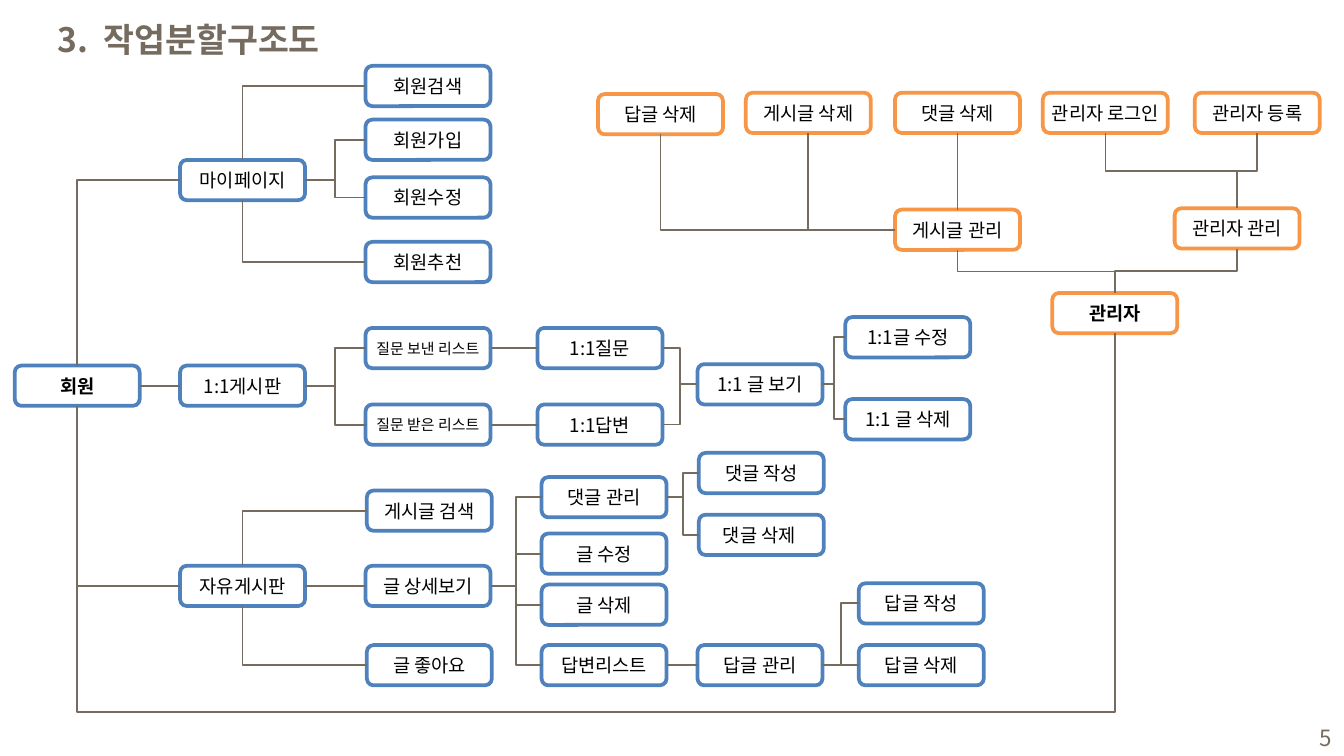
"""Build the work breakdown structure slide for members and administrators."""
import lxml.etree
import pptx
import pptx.dml.color
import pptx.enum.shapes
import pptx.enum.text
import pptx.oxml.ns
import pptx.util

Inches, Pt = pptx.util.Inches, pptx.util.Pt
MSO_SHAPE = pptx.enum.shapes.MSO_SHAPE
MSO_CONNECTOR = pptx.enum.shapes.MSO_CONNECTOR
ALIGN, ANCHOR = pptx.enum.text.PP_ALIGN, pptx.enum.text.MSO_ANCHOR
rgb = pptx.dml.color.RGBColor.from_string
qn = pptx.oxml.ns.qn

FONT = "Noto Sans CJK KR"
BROWN, BLUE, ORANGE = "756B5F", "4F81BD", "F79646"
TOP, LEFT, BOTTOM, RIGHT = range(4)


def write(sp, text, size=10, bold=False, color="000000", align=ALIGN.CENTER,
          anchor=ANCHOR.MIDDLE, inset=0):
    tf = sp.text_frame
    tf.word_wrap = True
    tf.vertical_anchor = anchor
    tf.margin_left = tf.margin_right = Inches(inset)
    tf.margin_top = tf.margin_bottom = Inches(inset / 2)
    p = tf.paragraphs[0]
    p.alignment = align
    r = p.add_run()
    r.text = text
    r.font.size, r.font.bold, r.font.name = Pt(size), bold, FONT
    r.font.color.rgb = rgb(color)
    lxml.etree.SubElement(r.font._element, qn("a:ea"), typeface=FONT)


prs = pptx.Presentation()
prs.slide_width, prs.slide_height = Inches(10), Inches(10 * 9 / 16)
s = prs.slides.add_slide(prs.slide_layouts[6])

sp = s.shapes.add_textbox(Inches(7.68), Inches(5.34), Inches(2.33), Inches(0.3))
write(sp, "5", size=12, color=BROWN, align=ALIGN.RIGHT, inset=0.1)
sp = s.shapes.add_textbox(Inches(0.33), Inches(0.09), Inches(9.24), Inches(0.4))
write(sp, "3.  작업분할구조도", size=18, bold=True, color=BROWN,
      align=ALIGN.LEFT, anchor=ANCHOR.TOP, inset=0.1)

member_spots = {
    "회원": (0.11, 2.72),
    "마이페이지": (1.34, 1.19), "1:1게시판": (1.34, 2.72), "자유게시판": (1.34, 4.21),
    "회원검색": (2.72, 0.49), "회원가입": (2.72, 0.89),
    "회원수정": (2.72, 1.32), "회원추천": (2.72, 1.8),
    "질문 보낸 리스트": (2.72, 2.44), "질문 받은 리스트": (2.72, 3.01),
    "게시글 검색": (2.73, 3.65), "글 상세보기": (2.72, 4.21), "글 좋아요": (2.73, 4.8),
    "1:1질문": (4, 2.44), "1:1답변": (4, 3.01),
    "댓글 관리": (4.03, 3.55), "글 수정": (4.03, 3.97),
    "글 삭제": (4.03, 4.35), "답변리스트": (4.03, 4.8),
    "1:1 글 보기": (5.19, 2.71), "댓글 작성": (5.2, 3.37),
    "댓글 삭제 ": (5.2, 3.83), "답글 관리": (5.19, 4.8),
    "1:1글 수정": (6.29, 2.36), "1:1 글 삭제": (6.29, 2.97),
    "답글 작성": (6.39, 4.34), "답글 삭제": (6.39, 4.8),
}
admin_spots = {
    "관리자": (7.83, 2.18), "게시글 관리": (6.66, 1.56), "관리자 관리": (8.74, 1.55),
    "답글 삭제": (4.45, 0.7), "게시글 삭제": (5.55, 0.69), "댓글 삭제": (6.66, 0.69),
    "관리자 로그인": (7.76, 0.69), "관리자 등록": (8.89, 0.69),
}
member, admin = {}, {}
for boxes, spots, color in ((member, member_spots, BLUE), (admin, admin_spots, ORANGE)):
    for text, (x, y) in spots.items():
        sp = s.shapes.add_shape(MSO_SHAPE.ROUNDED_RECTANGLE,
                                Inches(x), Inches(y), Inches(0.93), Inches(0.3))
        sp.shadow.inherit = False
        sp.fill.solid()
        sp.fill.fore_color.rgb = rgb("FFFFFF")
        sp.line.color.rgb = rgb(color)
        sp.line.width = Pt(2)
        write(sp, text, size=8 if text.endswith(" 리스트") else 10,
              bold=text in ("회원", "관리자"))
        boxes[text] = sp

branches = {
    "회원": ["1:1게시판"],
    "마이페이지": ["회원가입", "회원수정"],
    "1:1게시판": ["질문 보낸 리스트", "질문 받은 리스트"],
    "질문 보낸 리스트": ["1:1질문"], "질문 받은 리스트": ["1:1답변"],
    "1:1질문": ["1:1 글 보기"], "1:1답변": ["1:1 글 보기"],
    "1:1 글 보기": ["1:1글 수정", "1:1 글 삭제"],
    "자유게시판": ["글 상세보기"],
    "글 상세보기": ["댓글 관리", "글 수정", "글 삭제", "답변리스트"],
    "댓글 관리": ["댓글 작성", "댓글 삭제 "],
    "답변리스트": ["답글 관리"], "답글 관리": ["답글 작성", "답글 삭제"],
}
corners = [
    ("마이페이지", "회원", TOP), ("자유게시판", "회원", BOTTOM),
    ("회원검색", "마이페이지", TOP), ("회원추천", "마이페이지", BOTTOM),
    ("게시글 검색", "자유게시판", TOP), ("글 좋아요", "자유게시판", BOTTOM),
]
drops = [
    ("댓글 삭제", "게시글 관리"), ("관리자 로그인", "관리자 관리"),
    ("관리자 등록", "관리자 관리"), ("게시글 관리", "관리자"), ("관리자 관리", "관리자"),
]
links = [(member[a], RIGHT, member[b], LEFT) for a, ends in branches.items() for b in ends]
links += [(member[a], LEFT, member[b], side) for a, b, side in corners]
links += [(admin["게시글 관리"], LEFT, admin[b], BOTTOM) for b in ("답글 삭제", "게시글 삭제")]
links += [(admin[a], BOTTOM, admin[b], TOP) for a, b in drops]
links.append((admin["관리자"], BOTTOM, member["회원"], BOTTOM))

for a, start, b, end in links:
    level = start == RIGHT and a.top == b.top
    kind = MSO_CONNECTOR.STRAIGHT if level else MSO_CONNECTOR.ELBOW
    c = s.shapes.add_connector(kind, 0, 0, 0, 0)
    c.begin_connect(a, start)
    c.end_connect(b, end)
    c.line.color.rgb = rgb(BROWN)
    c.line.width = Pt(1)
    spPr = c._element.spPr
    lxml.etree.SubElement(spPr, qn("a:effectLst"))
    geom = spPr.find(qn("a:prstGeom"))
    if start == LEFT:
        geom.set("prst", "bentConnector2")
    if start == BOTTOM:
        rightward = c.end_x >= c.begin_x
        x, y, w, h = c.left, c.top, c.width, c.height
        c.left, c.top = x + (w - h) // 2, y + (h - w) // 2
        c.width, c.height = h, w
        xfrm = spPr.find(qn("a:xfrm"))
        xfrm.set("rot", "16200000" if rightward else "5400000")
        xfrm.set("flipH", "1" if rightward else "0")
        xfrm.set("flipV", "0")
    if end == BOTTOM and start == BOTTOM:
        lxml.etree.SubElement(geom.find(qn("a:avLst")), qn("a:gd"),
                              name="adj1", fmla="val 521700")

prs.save("out.pptx")
